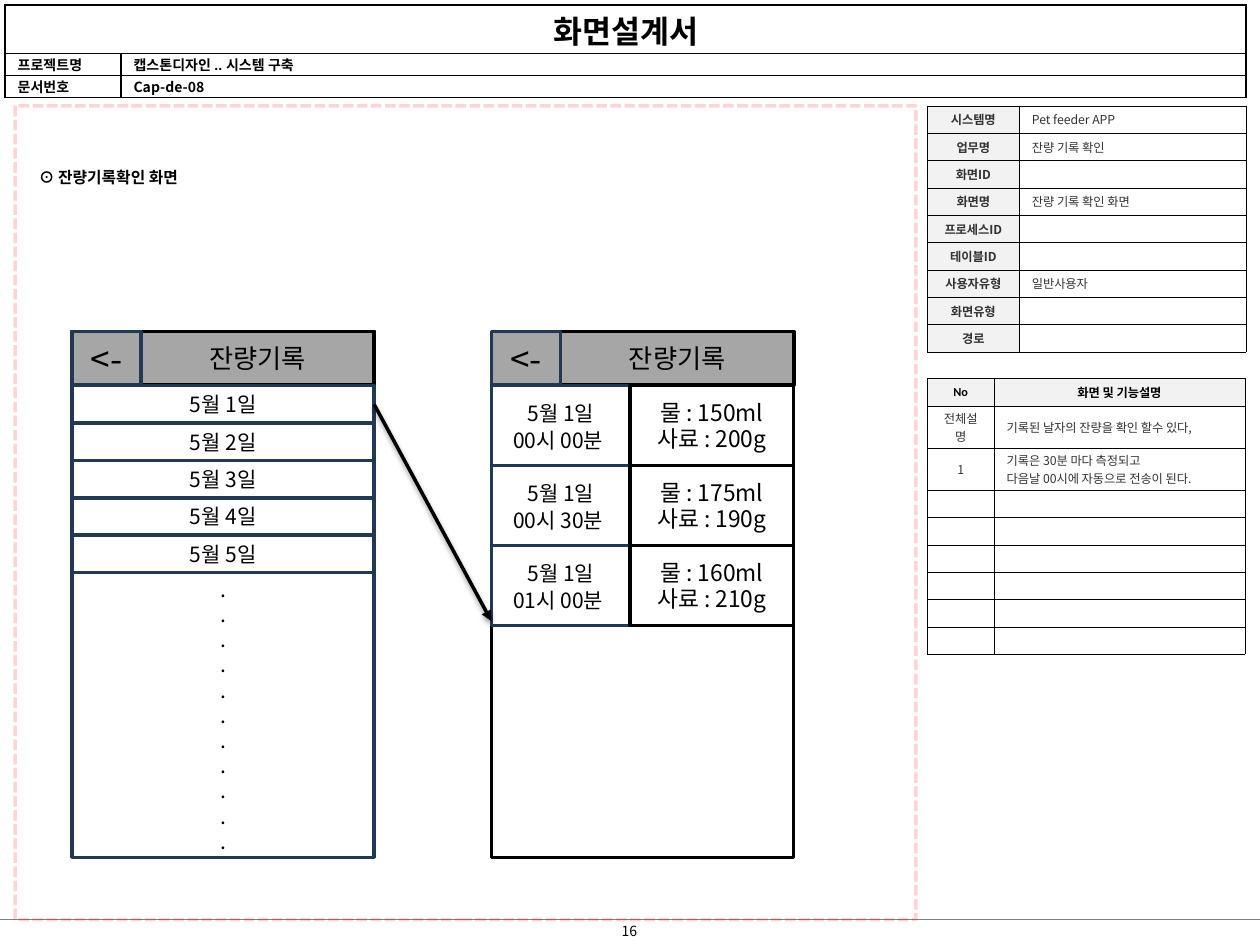
import lxml.etree
import pptx
import pptx.dml.color
import pptx.enum.dml
import pptx.enum.shapes
import pptx.enum.text
import pptx.oxml.ns
import pptx.util

THEME = {
    "black": "000000", "white": "FFFFFF", "bar": "A6A6A6", "label": "F2F2F2",
    "ink": "333333", "navy": "233953", "red": "FF0000", "rule": "808080",
    "cjk": "Noto Sans CJK KR", "arial": "Arial", "calibri": "Calibri",
    "title": 18, "arrow": 20, "bar_text": 15, "amount": 13, "date": 12,
    "heading": 9, "meta": 8, "cell": 7, "stroke": 2,
}
COLUMNS, ROWS = 100, 75

TITLE = "화면설계서"
PROJECT = [("프로젝트명", "캡스톤디자인 .. 시스템 구축"), ("문서번호", "Cap-de-08")]
HEADING = "⊙ 잔량기록확인 화면"
PAGE_NUMBER = "16"
BACK, SCREEN_NAME = "<-", "잔량기록"
DAYS = ["5월 1일", "5월 2일", "5월 3일", "5월 4일", "5월 5일"]
RECORDS = [
    (["5월 1일", "00시 00분 "], "물 : 150ml\v사료 : 200g"),
    (["5월 1일", "00시 30분 "], "물 : 175ml\v사료 : 190g"),
    (["5월 1일", "01시 00분 "], "물 : 160ml\v사료 : 210g"),
]
SCREEN_INFO = [
    ("시스템명", "Pet feeder APP"), ("업무명", "잔량 기록 확인"), ("화면ID", ""),
    ("화면명", "잔량 기록 확인 화면"), ("프로세스ID", ""), ("테이블ID", ""),
    ("사용자유형", "일반사용자"), ("화면유형", ""), ("경로", ""),
]
FUNCTIONS = [
    ("No", "화면 및 기능설명"),
    ("전체설명", "기록된 날자의 잔량을 확인 할수 있다,"),
    ("1", ["기록은 30분 마다 측정되고", "다음날 00시에 자동으로 전송이 된다."]),
] + [("", "")] * 6

ALIGN = pptx.enum.text.PP_ALIGN
ANCHOR = pptx.enum.text.MSO_ANCHOR
RECTANGLE = pptx.enum.shapes.MSO_SHAPE.RECTANGLE
STRAIGHT = pptx.enum.shapes.MSO_CONNECTOR.STRAIGHT

deck = pptx.Presentation()
deck.slide_width, deck.slide_height = pptx.util.Inches(10), pptx.util.Inches(7.5)
page = deck.slides.add_slide(deck.slide_layouts[6])


def across(columns):
    return round(deck.slide_width * columns / COLUMNS)


def down(rows):
    return round(deck.slide_height * rows / ROWS)


def place(left, top, width, height):
    return across(left), down(top), across(width), down(height)


def colour(name):
    return pptx.dml.color.RGBColor.from_string(THEME[name])


def child(parent, tag, **values):
    return lxml.etree.SubElement(parent, pptx.oxml.ns.qn(tag), values)


def assign(target, values):
    for name, value in values.items():
        setattr(target, name, value)


def write(frame, text, size, align=ALIGN.CENTER, ink="black", bold=False,
          font="cjk", pitch=None):
    lines = text if isinstance(text, list) else [text]
    for index, line in enumerate(lines):
        para = frame.add_paragraph() if index else frame.paragraphs[0]
        para.text = line
        assign(para, {"alignment": align, "line_spacing": pitch and pptx.util.Pt(pitch)})
        for span in para.runs:
            assign(span.font, {"size": pptx.util.Pt(THEME[size]), "bold": bold, "name": THEME[font]})
            span.font.color.rgb = colour(ink)
            child(span.font._element, "a:ea", typeface=THEME["cjk"])
        if not line:
            child(para._p, "a:endParaRPr", sz=str(THEME[size] * 100))


def add_box(area, fill="white", line="black", text=None, **style):
    box = page.shapes.add_shape(RECTANGLE, *place(*area))
    box.shadow.inherit = False
    if fill:
        box.fill.solid()
        box.fill.fore_color.rgb = colour(fill)
    else:
        box.fill.background()
    box.line.color.rgb = colour(line)
    box.line.width = pptx.util.Pt(THEME["stroke"])
    if text:
        assign(box.text_frame, {"word_wrap": True, "vertical_anchor": ANCHOR.MIDDLE})
        write(box.text_frame, text, **style)
    return box


def add_label(area, text, **style):
    label = page.shapes.add_textbox(*place(*area))
    label.text_frame.word_wrap = True
    write(label.text_frame, text, **style)


def add_line(start, end, ink, width):
    line = page.shapes.add_connector(
        STRAIGHT, across(start[0]), down(start[1]), across(end[0]), down(end[1]))
    line.line.color.rgb = colour(ink)
    line.line.width = pptx.util.Pt(width)
    return line, child(line._element.spPr, "a:effectLst")


def add_grid(left, top, widths, heights, border):
    area = place(left, top, sum(widths), sum(heights))
    table = page.shapes.add_table(len(heights), len(widths), *area).table
    assign(table, {"first_row": False, "horz_banding": False})
    for column, width in zip(table.columns, widths):
        column.width = across(width)
    for row, height in zip(table.rows, heights):
        row.height = down(height)
    for cell in table.iter_cells():
        assign(cell, {"margin_top": 0, "margin_bottom": 0, "vertical_anchor": ANCHOR.MIDDLE})
        for side in ("a:lnL", "a:lnR", "a:lnT", "a:lnB"):
            edge = child(cell._tc.get_or_add_tcPr(), side, w=str(pptx.util.Pt(border)))
            child(child(edge, "a:solidFill"), "a:srgbClr", val=THEME["black"])
    return table


def fill_cell(cell, text, fill=None, **style):
    if fill:
        cell.fill.solid()
        cell.fill.fore_color.rgb = colour(fill)
    else:
        cell.fill.background()
    write(cell.text_frame, text, **style)


def add_screen_header(left):
    add_box((left + 5.5, 26.3, 18.5, 4.25), "bar", text=SCREEN_NAME, size="bar_text")
    add_box((left, 26.3, 5.5, 4.25), "bar", "navy", BACK, size="arrow")


add_line((0, 73), (COLUMNS, 73), "rule", 0.75)
add_label((47.2, 72.75, 5.5, 2.4), PAGE_NUMBER, size="meta")

header = add_grid(0.4, 0.4, [9.2, 89.3], [3.85, 1.75, 1.75], 1)
header.cell(0, 0).merge(header.cell(0, 1))
fill_cell(header.cell(0, 0), TITLE, "white", size="title", bold=True)
for row, (name, value) in enumerate(PROJECT, 1):
    value_font = "cjk" if value.isascii() else "arial"
    for column, (text, font) in enumerate([(name, "arial"), (value, value_font)]):
        fill_cell(header.cell(row, column), text, "white", size="meta",
                  align=ALIGN.LEFT, bold=True, font=font)

frame = add_box((1.2, 8.4, 71.5, 64.6), None, "red")
frame.line.dash_style = pptx.enum.dml.MSO_LINE.SQUARE_DOT
for tone in frame.line._ln.iter(pptx.oxml.ns.qn("a:srgbClr")):
    child(tone, "a:alpha", val="16000")
for dash in frame.line._ln.iter(pptx.oxml.ns.qn("a:prstDash")):
    dash.set("val", "sysDash")
add_label((2.1, 12.8, 37.8, 2.5), HEADING, size="heading", align=ALIGN.LEFT, bold=True)

LIST_LEFT, DETAIL_LEFT, BODY_TOP, BODY_BOTTOM, SCREEN_WIDTH = 5.7, 39, 30.6, 68.05, 24
DAY_HEIGHT, RECORD_HEIGHT, TIME_WIDTH = 2.97, 6.35, 11
add_box((LIST_LEFT, 26.3, SCREEN_WIDTH, 41.7))
add_screen_header(LIST_LEFT)
for index, day in enumerate(DAYS):
    add_box((LIST_LEFT, BODY_TOP + index * DAY_HEIGHT, SCREEN_WIDTH, DAY_HEIGHT),
            line="navy", text=day, size="date")
rest_top = BODY_TOP + len(DAYS) * DAY_HEIGHT
add_box((LIST_LEFT, rest_top, SCREEN_WIDTH, BODY_BOTTOM - rest_top),
        line="navy", text=["."] * 11, size="date", pitch=14.4)

add_box((DETAIL_LEFT, BODY_TOP, SCREEN_WIDTH, BODY_BOTTOM - BODY_TOP))
add_screen_header(DETAIL_LEFT)
for index, (time, amounts) in enumerate(RECORDS):
    top = BODY_TOP + index * RECORD_HEIGHT
    add_box((DETAIL_LEFT, top, TIME_WIDTH, RECORD_HEIGHT),
            line="navy", text=time, size="date", pitch=15.4)
    add_box((DETAIL_LEFT + TIME_WIDTH, top, SCREEN_WIDTH - TIME_WIDTH, RECORD_HEIGHT),
            text=amounts, size="amount", pitch=15.4)

arrow, effects = add_line((LIST_LEFT + SCREEN_WIDTH, 32.1), (DETAIL_LEFT, 49.3), "black", THEME["stroke"])
child(arrow.line._ln, "a:tailEnd", type="triangle")
shade = child(effects, "a:outerShdw", blurRad=str(pptx.util.Pt(3.1)),
              dist=str(pptx.util.Pt(1.6)), dir="5400000", rotWithShape="0")
child(child(shade, "a:srgbClr", val=THEME["black"]), "a:alpha", val="38000")

functions = add_grid(73.6, 30.05, [5.3, 19.9], [2.2, 3.33, 3.33] + [2.17] * 6, 0.25)
for row, pair in enumerate(FUNCTIONS):
    for column, text in enumerate(pair):
        if row == 0:
            style = {"fill": "label", "bold": True, "font": ("calibri", "arial")[column]}
        else:
            style = {"ink": "ink", "align": (ALIGN.CENTER, ALIGN.LEFT)[column]}
        fill_cell(functions.cell(row, column), text, size="cell", **style)

info = add_grid(73.6, 8.4, [7.3, 18], [2.17] * len(SCREEN_INFO), 0.25)
for row, (name, value) in enumerate(SCREEN_INFO):
    fill_cell(info.cell(row, 0), name, "label", size="cell", ink="ink", bold=True)
    fill_cell(info.cell(row, 1), value, size="cell", ink="ink", align=ALIGN.LEFT)

deck.save("out.pptx")
